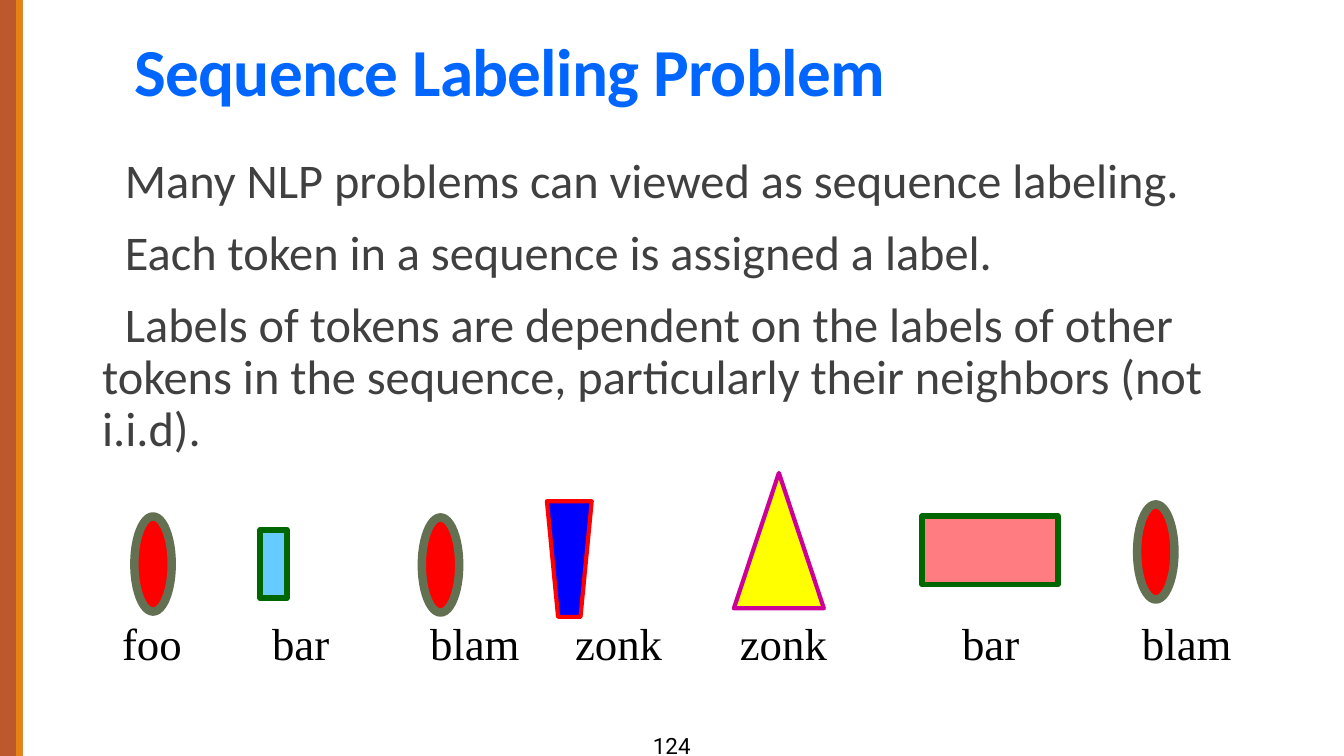
from dataclasses import dataclass
from typing import Optional

from lxml import etree
from pptx import Presentation
from pptx.dml.color import RGBColor
from pptx.enum import shapes, text
from pptx.oxml import ns
from pptx.util import Pt


@dataclass(frozen=True)
class Theme:
    title: str = "0166FF"
    body: str = "404040"
    ink: str = "000000"
    rust: str = "BD582C"
    orange: str = "E48312"
    sans: str = "Calibri"
    serif: str = "Times New Roman"
    number: str = "Roboto"
    title_size: float = 36
    body_size: float = 25.9
    label_size: float = 24
    number_size: float = 12


@dataclass(frozen=True)
class Style:
    fill: str
    line: str
    weight: float


@dataclass(frozen=True)
class Token:
    """A shape and its label; tab is the label's offset, kind None is a wedge."""
    label: str
    tab: float
    kind: Optional[shapes.MSO_SHAPE]
    frame: tuple[float, float, float, float]
    style: Style


THEME = Theme()
SLIDE_WIDTH, SLIDE_HEIGHT = 720, 405
OVAL = Style("FF0000", "637052", 4.5)
KIND = shapes.MSO_SHAPE

TOKENS = [
    Token("foo", 0, KIND.OVAL, (72, 276.7, 20, 51), OVAL),
    Token("bar", 80.4, KIND.RECTANGLE, (139.4, 283.8, 14.4, 36.7),
          Style("66CCFF", "006600", 3)),
    Token("blam", 165, KIND.OVAL, (226, 277.2, 20, 51), OVAL),
    Token("zonk", 242.7, None, (293, 268.5, 24, 62),
          Style("0000FF", "FF0000", 2.25)),
    Token("zonk", 331, KIND.ISOSCELES_TRIANGLE, (393.2, 253.4, 48.2, 72.5),
          Style("FFFF00", "CC0099", 2.25)),
    Token("bar", 450, KIND.RECTANGLE, (494, 276.5, 72.7, 36.7),
          Style("FF7C80", "006600", 3)),
    Token("blam", 546.4, KIND.OVAL, (609.2, 270.2, 20, 51), OVAL),
]

BODY = [
    "Many NLP problems can viewed as sequence labeling.",
    "Each token in a sequence is assigned a label.",
    "Labels of tokens are dependent on the labels of other tokens in the "
    "sequence, particularly their neighbors (not i.i.d).",
]


def place(box, left: float, top: float, width: float, height: float) -> None:
    box.left, box.top, box.width, box.height = map(Pt, (left, top, width, height))


def set_frame(box, *, inset: tuple[float, float] = (7.2, 3.6),
              anchor=text.MSO_ANCHOR.TOP, wrap: bool = True):
    """Set margins (sides, top and bottom), anchor and wrapping."""
    frame = box.text_frame
    frame.word_wrap = wrap
    frame.auto_size = text.MSO_AUTO_SIZE.NONE
    frame.vertical_anchor = anchor
    frame.margin_left = frame.margin_right = Pt(inset[0])
    frame.margin_top = frame.margin_bottom = Pt(inset[1])
    return frame


def write(para, words: str, *, font: str, size: float, color: str,
          bold: bool = False, spacing: float = 0, line: float = 1,
          align=text.PP_ALIGN.LEFT) -> None:
    para.alignment = align
    para.line_spacing = line
    span = para.add_run()
    span.text = words
    span.font.name = font
    span.font.size = Pt(size)
    span.font.bold = bold
    span.font.color.rgb = RGBColor.from_string(color)
    if spacing:
        span.font._element.set("spc", str(round(spacing * 100)))


def add_blank_bullet(para) -> None:
    """Give the paragraph a space as its bullet, with a tiny hanging indent."""
    props = para._p.get_or_add_pPr()
    props.set("marL", str(Pt(0.72)))
    props.set("indent", str(-Pt(0.72)))
    color = etree.SubElement(props, ns.qn("a:buClr"))
    etree.SubElement(color, ns.qn("a:srgbClr"), val=THEME.orange)
    etree.SubElement(props, ns.qn("a:buChar"), char=" ")


def add_tabs(para, stops: list[float]) -> None:
    tabs = etree.SubElement(para._p.get_or_add_pPr(), ns.qn("a:tabLst"))
    for stop in stops:
        etree.SubElement(tabs, ns.qn("a:tab"), pos=str(Pt(stop)), algn="l")


def add_stripe(page, left: float, width: float, color: str) -> None:
    stripe = page.shapes.add_shape(KIND.RECTANGLE, Pt(left), 0, Pt(width),
                                   Pt(SLIDE_HEIGHT))
    stripe.shadow.inherit = False
    stripe.fill.solid()
    stripe.fill.fore_color.rgb = RGBColor.from_string(color)
    stripe.line.fill.background()


def add_wedge(page, left: float, top: float, width: float, height: float):
    """Draw a trapezoid whose bottom is half as wide as its top."""
    right, bottom, taper = left + width, top + height, width / 4
    outline = page.shapes.build_freeform(Pt(left), Pt(top))
    corners = [(left + taper, bottom), (right - taper, bottom), (right, top)]
    outline.add_line_segments([(Pt(x), Pt(y)) for x, y in corners], close=True)
    return outline.convert_to_shape()


def add_token(page, token: Token) -> None:
    if token.kind is None:
        shape = add_wedge(page, *token.frame)
    else:
        shape = page.shapes.add_shape(token.kind, *map(Pt, token.frame))
    shape.shadow.inherit = False
    shape.fill.solid()
    shape.fill.fore_color.rgb = RGBColor.from_string(token.style.fill)
    shape.line.color.rgb = RGBColor.from_string(token.style.line)
    shape.line.width = Pt(token.style.weight)


def add_text_box(page, left: float, top: float, width: float, height: float,
                 **options):
    box = page.shapes.add_textbox(*map(Pt, (left, top, width, height)))
    return set_frame(box, **options)


def main() -> None:
    deck = Presentation()
    deck.slide_width, deck.slide_height = Pt(SLIDE_WIDTH), Pt(SLIDE_HEIGHT)
    page = deck.slides.add_slide(deck.slide_layouts[5])

    add_stripe(page, 0, 12.2, THEME.rust)
    add_stripe(page, 8.6, 3.6, THEME.orange)

    title = page.shapes.title
    place(title, 64.8, 9.4, 594, 53.3)
    frame = set_frame(title, anchor=text.MSO_ANCHOR.BOTTOM)
    write(frame.paragraphs[0], "Sequence Labeling Problem", font=THEME.sans,
          size=THEME.title_size, color=THEME.title, bold=True, spacing=-0.4,
          line=0.85)

    frame = add_text_box(page, 54, 80.6, 612, 171.4, inset=(0, 3.6))
    for index, words in enumerate(BODY):
        para = frame.add_paragraph() if index else frame.paragraphs[0]
        para.space_before = Pt(9 if index else 0)
        para.space_after = Pt(1.5)
        add_blank_bullet(para)
        write(para, words, font=THEME.sans, size=THEME.body_size,
              color=THEME.body, line=0.9)

    for token in TOKENS:
        add_token(page, token)
    labels = add_text_box(page, 58.3, 326.2, 614.2, 36.7, wrap=False).paragraphs[0]
    add_tabs(labels, [token.tab for token in TOKENS[1:]])
    write(labels, "\t".join(token.label for token in TOKENS), font=THEME.serif,
          size=THEME.label_size, color=THEME.ink)

    number = add_text_box(page, 217.4, 396, 285.1, 7.2, inset=(0, 0),
                          anchor=text.MSO_ANCHOR.MIDDLE)
    write(number.paragraphs[0], "124", font=THEME.number, size=THEME.number_size,
          color=THEME.ink, align=text.PP_ALIGN.CENTER)

    deck.save("out.pptx")


if __name__ == "__main__":
    main()
